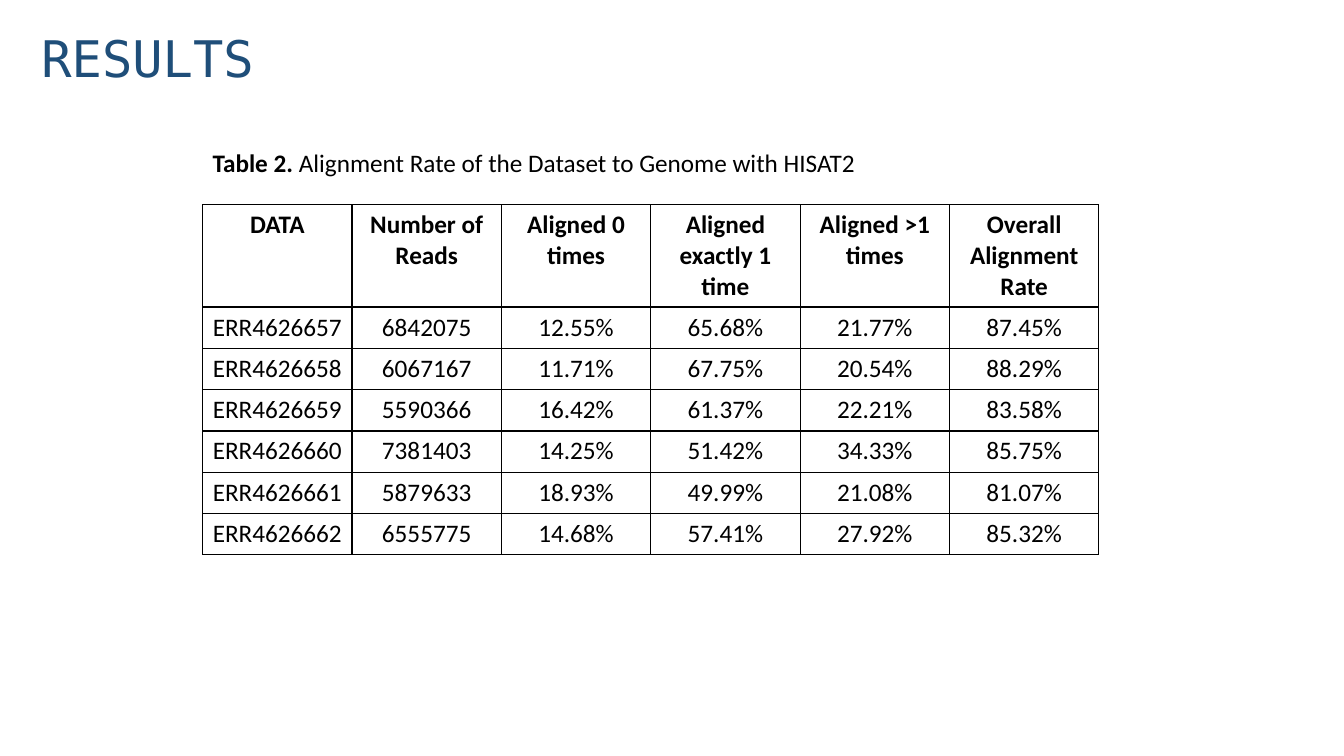
from dataclasses import dataclass

from lxml import etree
from pptx import Presentation
from pptx.dml.color import RGBColor
from pptx.enum.text import MSO_ANCHOR, MSO_AUTO_SIZE, PP_ALIGN
from pptx.oxml.ns import qn
from pptx.slide import Slide
from pptx.util import Inches, Pt

LEFT, CENTER = PP_ALIGN.LEFT, PP_ALIGN.CENTER
BOTTOM, TOP = MSO_ANCHOR.BOTTOM, MSO_ANCHOR.TOP
FIT_SHAPE, NO_FIT = MSO_AUTO_SIZE.SHAPE_TO_FIT_TEXT, MSO_AUTO_SIZE.NONE
TITLE_ONLY = 5


@dataclass(frozen=True)
class Theme:
    title_font: str = "DejaVu Sans Mono"
    body_font: str = "Calibri"
    title_size: int = 36
    body_size: int = 18
    title_color: str = "1F4E79"
    text_color: str = "000000"
    cell_fill: str = "FFFFFF"
    border_color: str = "000000"
    border_width: int = 1


@dataclass(frozen=True)
class Area:
    left: float
    top: float
    width: float
    height: float

    def lengths(self) -> list[int]:
        return [Inches(n) for n in (self.left, self.top, self.width, self.height)]


@dataclass(frozen=True)
class Sample:
    accession: str
    reads: int
    aligned_zero: float
    aligned_once: float
    aligned_more: float
    overall: float

    def texts(self) -> list[str]:
        rates = (self.aligned_zero, self.aligned_once, self.aligned_more, self.overall)
        return [self.accession, str(self.reads), *(f"{rate:.2f}%" for rate in rates)]


THEME = Theme()
TITLE_AREA = Area(0.31, 0.27, 5.06, 0.66)
TABLE_AREA = Area(2.01, 2.03, 8.89, 3.43)
CAPTION_AREA = Area(2.01, 1.41, 6.7, 0.4)
ROW_HEIGHT = 0.41
HEADINGS = ["DATA", "Number of Reads", "Aligned 0 times", "Aligned exactly 1 time",
            "Aligned >1 times", "Overall Alignment Rate"]
SAMPLES = [
    Sample("ERR4626657", 6842075, 12.55, 65.68, 21.77, 87.45),
    Sample("ERR4626658", 6067167, 11.71, 67.75, 20.54, 88.29),
    Sample("ERR4626659", 5590366, 16.42, 61.37, 22.21, 83.58),
    Sample("ERR4626660", 7381403, 14.25, 51.42, 34.33, 85.75),
    Sample("ERR4626661", 5879633, 18.93, 49.99, 21.08, 81.07),
    Sample("ERR4626662", 6555775, 14.68, 57.41, 27.92, 85.32),
]


def set_all(target, values: dict) -> None:
    for name, value in values.items():
        setattr(target, name, value)


def add_span(para, text: str, bold: bool = False, name: str = THEME.body_font,
             size: int = THEME.body_size, color: str = THEME.text_color) -> None:
    span = para.add_run()
    span.text = text
    set_all(span.font, {"name": name, "size": Pt(size), "bold": bold})
    span.font.color.rgb = RGBColor.from_string(color)


def add_borders(cell) -> None:
    properties = cell._tc.get_or_add_tcPr()
    for index, side in enumerate(("lnL", "lnR", "lnT", "lnB")):
        line = etree.Element(qn(f"a:{side}"), w=str(Pt(THEME.border_width)))
        fill = etree.SubElement(line, qn("a:solidFill"))
        etree.SubElement(fill, qn("a:srgbClr"), val=THEME.border_color)
        properties.insert(index, line)


def add_title(page: Slide, text: str) -> None:
    title = page.shapes.title
    set_all(title, dict(zip(("left", "top", "width", "height"), TITLE_AREA.lengths())))
    set_all(title.text_frame, {"vertical_anchor": BOTTOM, "word_wrap": True,
                               "auto_size": NO_FIT})
    para = title.text_frame.paragraphs[0]
    set_all(para, {"alignment": LEFT, "line_spacing": 0.9})
    add_span(para, text, name=THEME.title_font, size=THEME.title_size,
             color=THEME.title_color)


def add_results_table(page: Slide) -> None:
    rows = [HEADINGS, *(sample.texts() for sample in SAMPLES)]
    frame = page.shapes.add_table(len(rows), len(HEADINGS), *TABLE_AREA.lengths())
    table = frame.table
    set_all(table, {"first_row": False, "horz_banding": False})
    for row_index, texts in enumerate(rows):
        table.rows[row_index].height = Inches(ROW_HEIGHT)
        for column_index, text in enumerate(texts):
            cell = table.cell(row_index, column_index)
            cell.vertical_anchor = TOP
            cell.fill.solid()
            cell.fill.fore_color.rgb = RGBColor.from_string(THEME.cell_fill)
            add_borders(cell)
            para = cell.text_frame.paragraphs[0]
            para.alignment = CENTER
            add_span(para, text, bold=row_index == 0)
    # The heading row grows to three lines, so the frame is taller than its rows
    frame.height = Inches(TABLE_AREA.height)


def add_caption(page: Slide, label: str, text: str) -> None:
    box = page.shapes.add_textbox(*CAPTION_AREA.lengths())
    set_all(box.text_frame, {"word_wrap": False, "auto_size": FIT_SHAPE})
    para = box.text_frame.paragraphs[0]
    para.alignment = LEFT
    add_span(para, label, bold=True)
    add_span(para, text)


def main() -> None:
    deck = Presentation()
    set_all(deck, {"slide_width": Inches(13.33), "slide_height": Inches(7.5)})
    page = deck.slides.add_slide(deck.slide_layouts[TITLE_ONLY])
    add_title(page, "RESULTS")
    add_results_table(page)
    add_caption(page, "Table 2. ", "Alignment Rate of the Dataset to Genome with HISAT2")
    deck.save("out.pptx")


if __name__ == "__main__":
    main()
